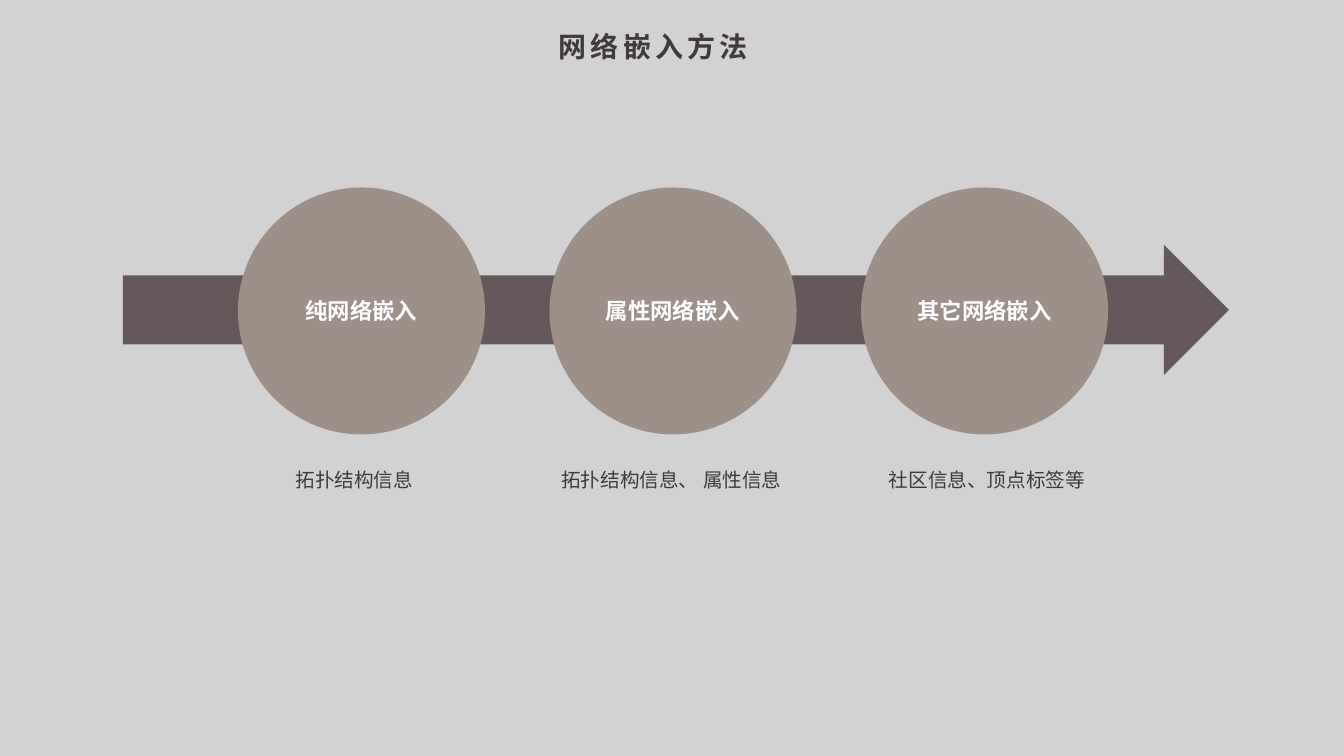
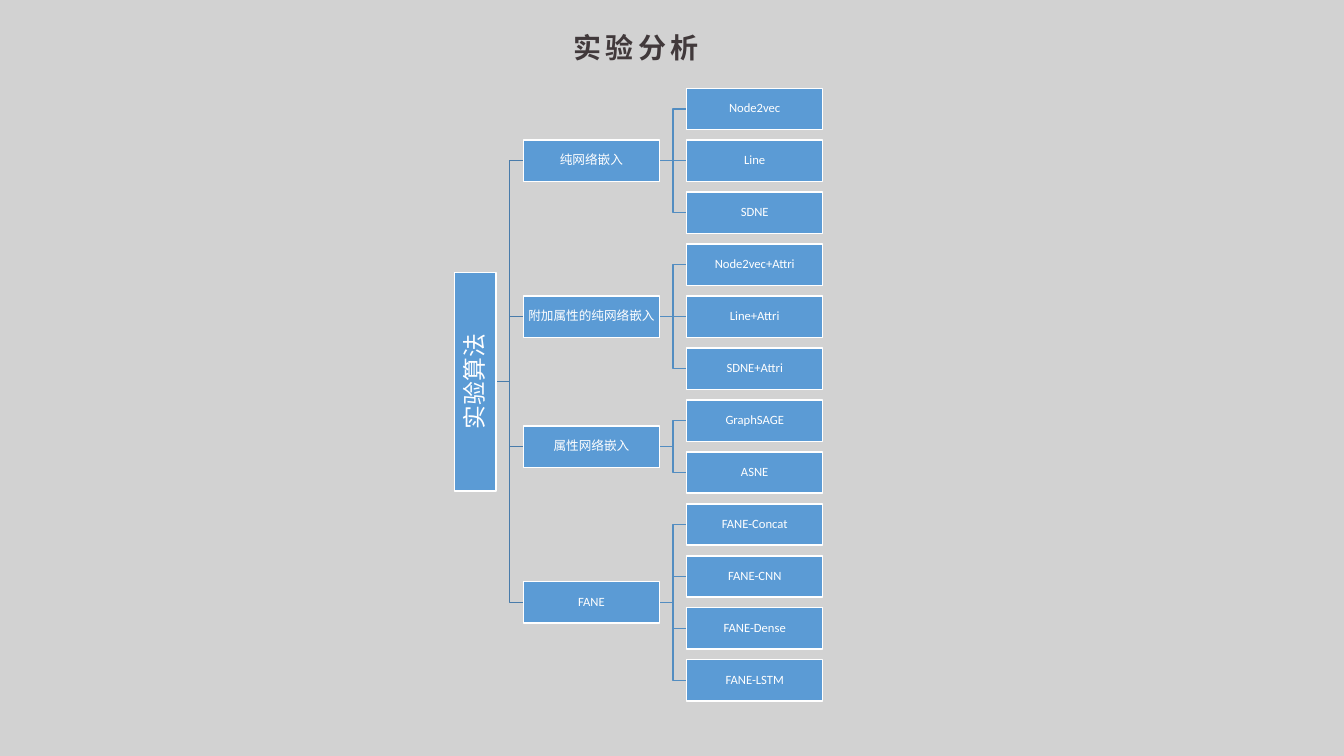
"""Build two slides on network embedding: a method arrow and an algorithm tree."""
from lxml.etree import SubElement
from pptx import Presentation
from pptx.dml.color import RGBColor
from pptx.enum.shapes import MSO_CONNECTOR, MSO_SHAPE
from pptx.enum.text import MSO_ANCHOR, MSO_AUTO_SIZE, PP_ALIGN
from pptx.oxml.ns import qn
from pptx.util import Inches, Pt

BACK, DARK, WHITE = "D2D2D2", "41393B", "FFFFFF"
ARROW, CIRCLE, BOX = "64585A", "9C9088", "5B9BD5"
TRUNK, TWIG = "497CAB", "538DC1"
CJK = "Noto Sans CJK SC"


def paint(color_format, color):
    color_format.rgb = RGBColor.from_string(color)


def write(sp, text, size, color, font=CJK, bold=False, align=PP_ALIGN.CENTER,
          anchor=MSO_ANCHOR.MIDDLE, margin=0.01, wrap=True):
    tf = sp.text_frame
    tf.text = text
    tf.word_wrap = wrap
    tf.auto_size = MSO_AUTO_SIZE.NONE
    tf.vertical_anchor = anchor
    tf.margin_left = tf.margin_right = Inches(margin)
    tf.margin_top = tf.margin_bottom = Inches(margin / 2 if margin > 0.05 else margin)
    p = tf.paragraphs[0]
    p.alignment = align
    r = p.runs[0]
    r.font.size, r.font.bold, r.font.name = Pt(size), bold, font
    paint(r.font.color, color)
    SubElement(r._r.get_or_add_rPr(), qn("a:ea")).set("typeface", CJK)
    return p


prs = Presentation()
prs.slide_width, prs.slide_height = Inches(13.33), Inches(7.5)
fill = prs.slide_master.background.fill
fill.solid()
paint(fill.fore_color, BACK)

slides = []
for title, left, top, width in [("网络嵌入方法", 5.44, 0.24, 2.14),
                                ("实验分析", 5.59, 0.25, 1.49)]:
    s = prs.slides.add_slide(prs.slide_layouts[5])
    sp = s.shapes.title
    sp.left, sp.top, sp.width, sp.height = map(Inches, (left, top, width, 0.44))
    p = write(sp, title, 20, DARK, bold=True, align=PP_ALIGN.LEFT,
              anchor=MSO_ANCHOR.TOP, margin=0.1, wrap=False)
    p.runs[0]._r.get_or_add_rPr().set("spc", "300")
    slides.append(s)
methods, analysis = slides

arrow = methods.shapes.add_shape(MSO_SHAPE.RIGHT_ARROW, Inches(1.22), Inches(2.43),
                                 Inches(10.97), Inches(1.29))
arrow.adjustments[0], arrow.adjustments[1] = 0.53, 0.5
arrow.shadow.inherit = False
arrow.fill.solid()
paint(arrow.fill.fore_color, ARROW)
arrow.line.fill.background()

stages = [("纯网络嵌入", "拓扑结构信息", 2.21, 2.61),
          ("属性网络嵌入", "拓扑结构信息、 属性信息", 5.37, 2.58),
          ("其它网络嵌入", "社区信息、顶点标签等", 8.5, 2.58)]
for i, (name, info, left, width) in enumerate(stages):
    sp = methods.shapes.add_shape(MSO_SHAPE.OVAL, Inches(2.36 + 3.09 * i), Inches(1.86),
                                  Inches(2.45), Inches(2.45))
    sp.shadow.inherit = False
    sp.fill.solid()
    paint(sp.fill.fore_color, CIRCLE)
    sp.line.fill.background()
    write(sp, name, 16, WHITE, bold=True, margin=0)
    caption = methods.shapes.add_textbox(Inches(left), Inches(4.55), Inches(width), Inches(0.38))
    p = write(caption, info, 14, DARK, anchor=MSO_ANCHOR.TOP, margin=0.1)
    p.line_spacing, p.space_before = 1.2, Pt(2.8)

tree = [("纯网络嵌入", ["Node2vec", "Line", "SDNE"]),
        ("附加属性的纯网络嵌入", ["Node2vec+Attri", "Line+Attri", "SDNE+Attri"]),
        ("属性网络嵌入", ["GraphSAGE", "ASNE"]),
        ("FANE", ["FANE-Concat", "FANE-CNN", "FANE-Dense", "FANE-LSTM"])]
first, last, box_w, box_h = 1.08, 6.75, 1.35, 0.41
root_right, branch_left, leaf_left = 4.92, 5.19, 6.81
branch_right = branch_left + box_w
pitch = (last - first) / (sum(len(leaves) for _, leaves in tree) - 1)

nodes, links, branch_ys, row = [], [], [], 0
for branch, leaves in tree:
    ys = [first + pitch * (row + i) for i in range(len(leaves))]
    row += len(leaves)
    mid = (ys[0] + ys[-1]) / 2
    branch_ys.append(mid)
    nodes.append((branch, branch_left + box_w / 2, mid, box_w, 9, 0))
    for leaf, y in zip(leaves, ys):
        nodes.append((leaf, leaf_left + box_w / 2, y, box_w, 9, 0))
        links.append((branch_right, mid, leaf_left, y, TWIG))
root_y = (branch_ys[0] + branch_ys[-1]) / 2
nodes.append(("实验算法", root_right - box_h / 2, root_y, 2.17, 17, 270))
links += [(root_right, root_y, branch_left, y, TRUNK) for y in branch_ys]

for x1, y1, x2, y2, color in links:
    kind = MSO_CONNECTOR.STRAIGHT if abs(y1 - y2) < 0.01 else MSO_CONNECTOR.ELBOW
    link = analysis.shapes.add_connector(kind, Inches(x1), Inches(y1), Inches(x2), Inches(y2))
    link.line.width = Pt(1)
    paint(link.line.color, color)
    SubElement(link._element.spPr, qn("a:effectLst"))

for text, x, y, width, size, turn in nodes:
    sp = analysis.shapes.add_shape(MSO_SHAPE.RECTANGLE, Inches(x - width / 2),
                                   Inches(y - box_h / 2), Inches(width), Inches(box_h))
    sp.rotation = turn
    sp.shadow.inherit = False
    sp.fill.solid()
    paint(sp.fill.fore_color, BOX)
    sp.line.width = Pt(1)
    paint(sp.line.color, WHITE)
    p = write(sp, text, size, WHITE, font="Calibri")
    p.line_spacing = 0.9

prs.save("out.pptx")
